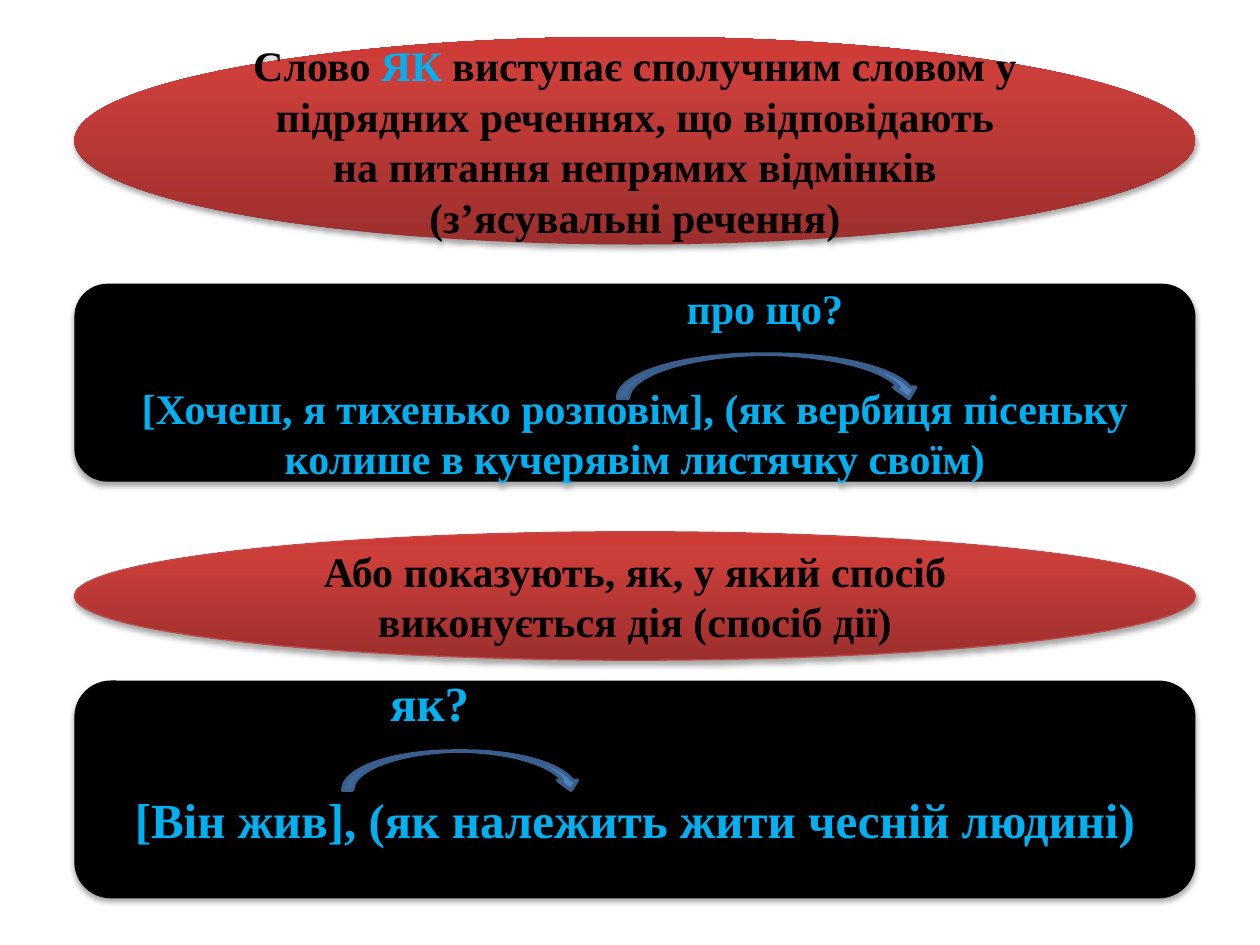
"""Builds a slide on the conjunctive word ЯК with two rules and two examples."""
from copy import deepcopy
from dataclasses import dataclass
from typing import Optional

from lxml import etree
from pptx import Presentation
from pptx.dml.color import RGBColor
from pptx.enum.shapes import MSO_SHAPE
from pptx.enum.text import MSO_ANCHOR, PP_ALIGN
from pptx.oxml.ns import qn
from pptx.util import Cm, Pt

OVAL = MSO_SHAPE.OVAL
ROUNDED = MSO_SHAPE.ROUNDED_RECTANGLE
CURVED_ARROW = MSO_SHAPE.CURVED_DOWN_ARROW
LEFT, CENTER = PP_ALIGN.LEFT, PP_ALIGN.CENTER
MIDDLE = MSO_ANCHOR.MIDDLE


@dataclass(frozen=True)
class Theme:
    font: str = "Times New Roman"
    ink: str = "000000"
    accent: str = "00B0F0"
    board: str = "000000"
    rule_edge: str = "BF4C48"
    arrow: str = "4F81BD"
    arrow_edge: str = "3A5F8C"
    rule_stops: tuple = ((0, "9C2F2D"), (0.8, "CB3E3A"), (1, "CE3B37"))
    normal: int = 24
    large: int = 28


THEME = Theme()
PANEL_LEFT, PANEL_WIDTH = 1.5, 22.6


@dataclass(frozen=True)
class Rule:
    top: float
    height: float
    phrases: tuple
    edge: Optional[str] = None


@dataclass(frozen=True)
class Example:
    top: float
    height: float
    question: str
    sentence: str
    size: int
    question_align: PP_ALIGN
    indent: float
    gap: float
    bottom: float
    arrow: tuple


RULES = (
    Rule(0.74, 4.19, (
        ("Слово ", THEME.ink),
        ("ЯК", THEME.accent),
        (" виступає сполучним словом у підрядних реченнях, що відповідають "
         "на питання непрямих відмінків (з’ясувальні речення)", THEME.ink))),
    Rule(10.72, 2.59, (
        ("Або показують, як, у який спосіб виконується дія (спосіб дії)",
         THEME.ink),), THEME.rule_edge),
)
EXAMPLES = (
    Example(5.72, 3.99, "про що?",
            "[Хочеш, я тихенько розповім], (як вербиця пісеньку колише "
            "в кучерявім листячку своїм)",
            THEME.normal, CENTER, 5.24, 28.5, 0.13, (12.45, 7.14, 6.1, 0.89)),
    Example(13.72, 4.39, "як?", "[Він жив], (як належить жити чесній людині)",
            THEME.large, LEFT, 5.9, 33, 1.29, (6.91, 15.14, 4.8, 0.79)),
)


def draw(slide, kind, box: tuple, fill: Optional[str] = None,
         edge: Optional[str] = None, edge_width: float = 0.75):
    shape = slide.shapes.add_shape(kind, *(Cm(length) for length in box))
    if fill:
        shape.fill.solid()
        shape.fill.fore_color.rgb = RGBColor.from_string(fill)
    if edge:
        shape.line.color.rgb = RGBColor.from_string(edge)
        shape.line.width = Pt(edge_width)
    else:
        shape.line.fill.background()
    shape.shadow.inherit = False
    return shape


def shade(shape) -> None:
    shape.fill.gradient()
    shape.fill.gradient_angle = 90
    stops = shape._element.spPr.find(qn("a:gradFill")).find(qn("a:gsLst"))
    stops.append(deepcopy(stops[0]))
    for stop, (position, color) in zip(shape.fill.gradient_stops,
                                       THEME.rule_stops):
        stop.position = position
        stop.color.rgb = RGBColor.from_string(color)


def cast_shadow(shape) -> None:
    effects = shape._element.spPr.find(qn("a:effectLst"))
    shadow = etree.SubElement(effects, qn("a:outerShdw"), blurRad="40000",
                              dist="23000", dir="5400000", rotWithShape="0")
    color = etree.SubElement(shadow, qn("a:srgbClr"), val=THEME.ink)
    etree.SubElement(color, qn("a:alpha"), val="35000")


def write(paragraph, text: str, *, color: str, size: int, align=CENTER,
          indent: float = 0, after: float = 0) -> None:
    paragraph.alignment = align
    paragraph.space_after = Pt(after)
    if indent:
        paragraph._p.get_or_add_pPr().set("marL", str(int(Cm(indent))))
    run = paragraph.add_run()
    run.text = text
    run.font.name = THEME.font
    run.font.size = Pt(size)
    run.font.bold = True
    run.font.color.rgb = RGBColor.from_string(color)


def add_rule(slide, rule: Rule) -> None:
    oval = draw(slide, OVAL, (PANEL_LEFT, rule.top, PANEL_WIDTH, rule.height),
                edge=rule.edge)
    shade(oval)
    cast_shadow(oval)
    frame = oval.text_frame
    frame.word_wrap = True
    frame.vertical_anchor = MIDDLE
    for text, color in rule.phrases:
        write(frame.paragraphs[0], text, color=color, size=THEME.normal)


def add_example(slide, example: Example) -> None:
    board = draw(slide, ROUNDED,
                 (PANEL_LEFT, example.top, PANEL_WIDTH, example.height),
                 THEME.board)
    cast_shadow(board)
    frame = board.text_frame
    frame.word_wrap = True
    frame.vertical_anchor = MIDDLE
    frame.margin_bottom = Cm(example.bottom)
    write(frame.paragraphs[0], example.question, color=THEME.accent,
          size=example.size, align=example.question_align,
          indent=example.indent, after=example.gap)
    write(frame.add_paragraph(), example.sentence, color=THEME.accent,
          size=example.size)
    draw(slide, CURVED_ARROW, example.arrow, THEME.arrow, THEME.arrow_edge, 2)


def main() -> None:
    deck = Presentation()
    deck.slide_width, deck.slide_height = Cm(25.4), Cm(19.05)
    slide = deck.slides.add_slide(deck.slide_layouts[6])
    for rule, example in zip(RULES, EXAMPLES):
        add_rule(slide, rule)
        add_example(slide, example)
    deck.save("out.pptx")


main()
